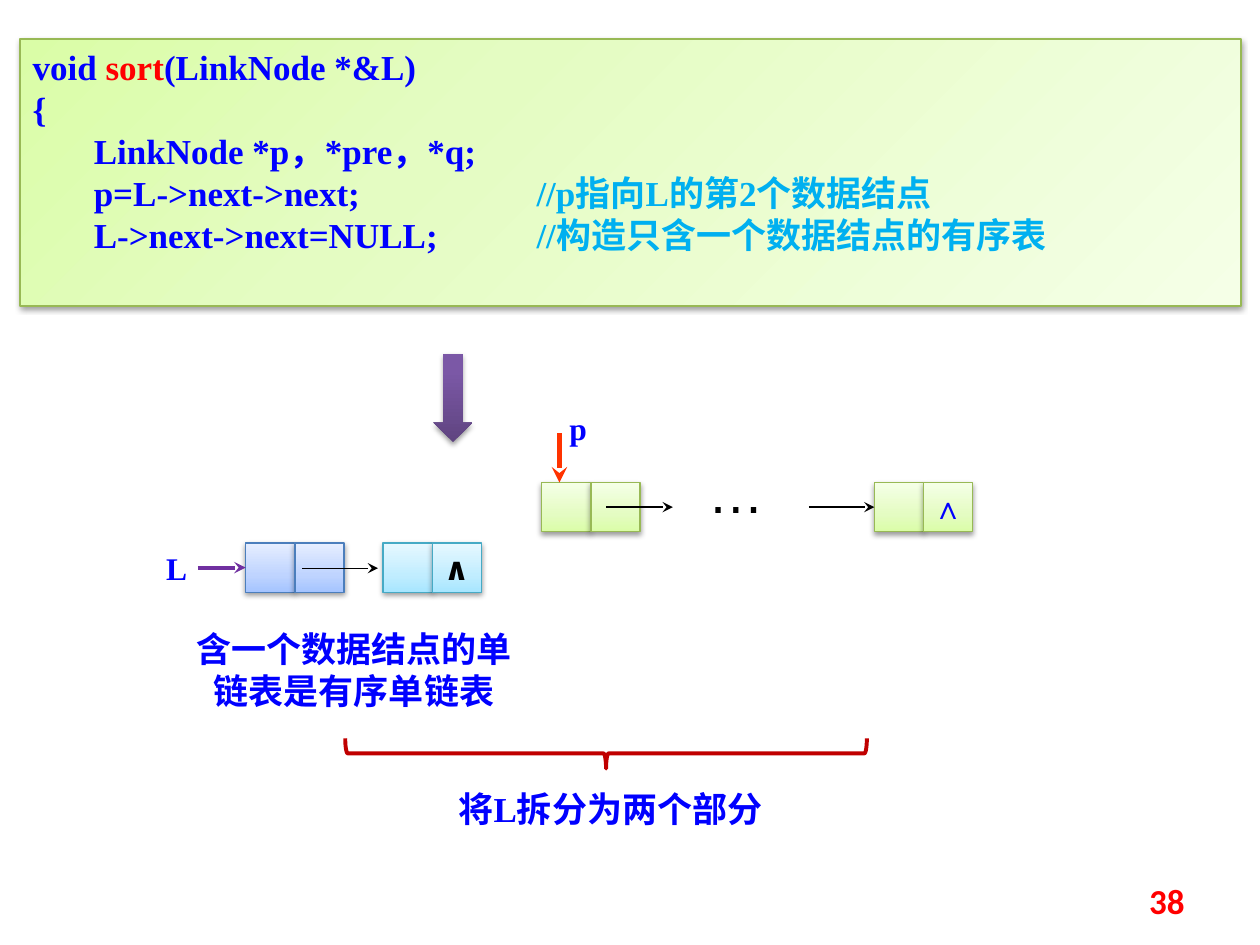
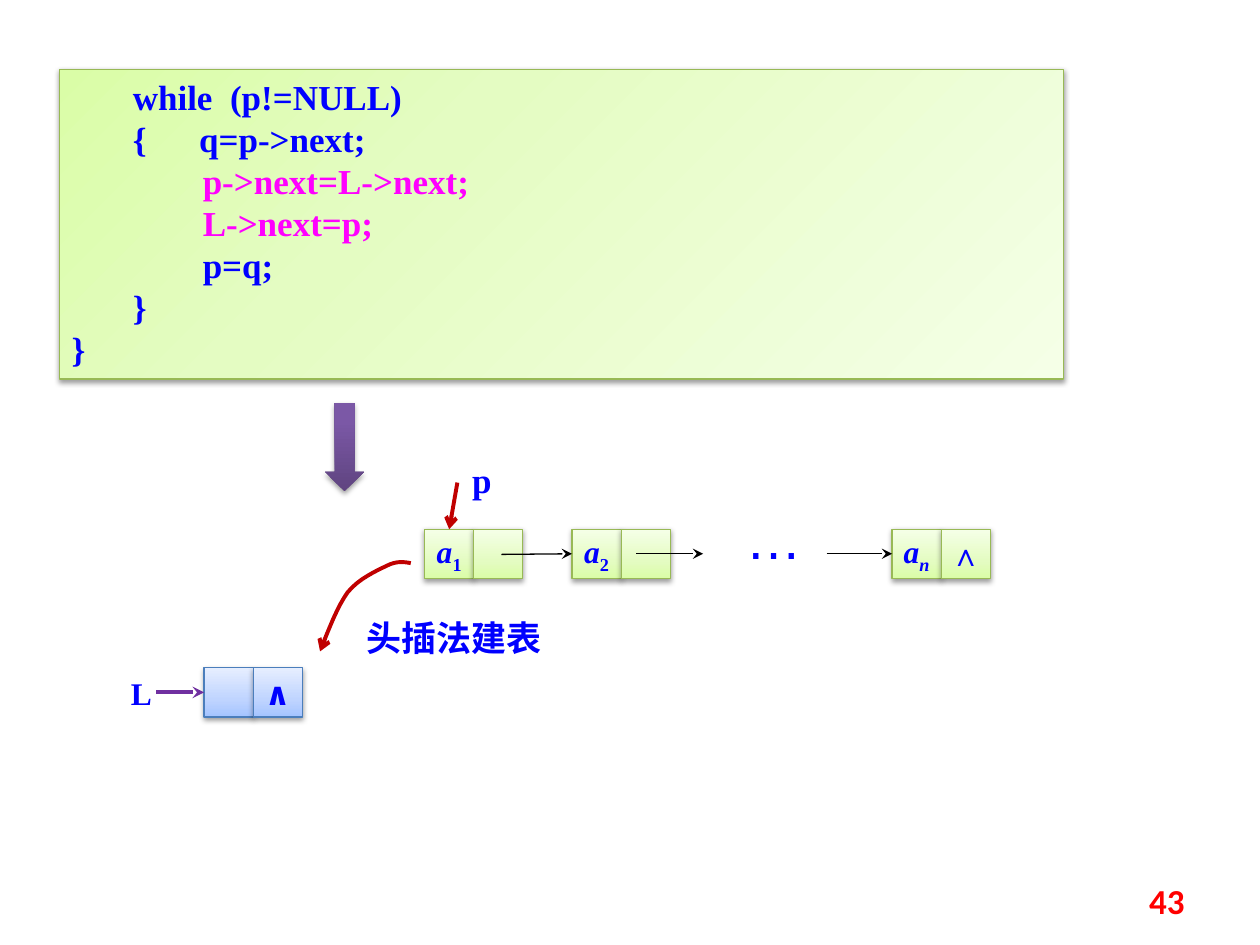
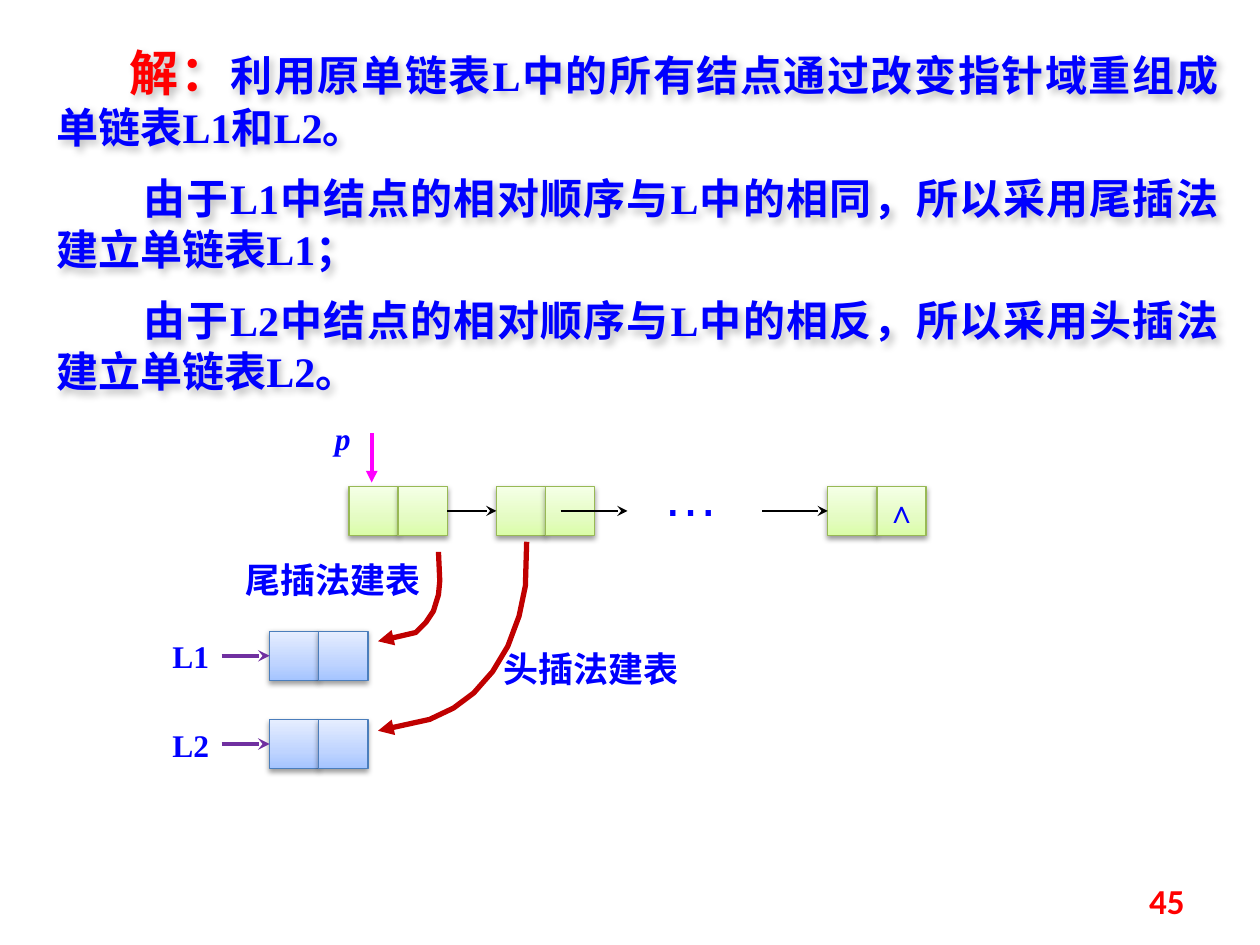
from dataclasses import dataclass, replace

from lxml import etree
from pptx import Presentation
from pptx.dml.color import RGBColor
from pptx.enum.shapes import MSO_CONNECTOR, MSO_SHAPE
from pptx.enum.text import MSO_ANCHOR, PP_ALIGN
from pptx.oxml import parse_xml
from pptx.oxml.ns import nsdecls, qn
from pptx.shapes.autoshape import Shape
from pptx.shapes.connector import Connector
from pptx.slide import Slide
from pptx.text.text import TextFrame
from pptx.util import Inches, Pt

RECTANGLE = MSO_SHAPE.RECTANGLE
DOWN_ARROW = MSO_SHAPE.DOWN_ARROW
RIGHT_BRACE = MSO_SHAPE.RIGHT_BRACE
STRAIGHT = MSO_CONNECTOR.STRAIGHT
TOP, MIDDLE = MSO_ANCHOR.TOP, MSO_ANCHOR.MIDDLE
LEFT, CENTER, RIGHT, JUSTIFY = PP_ALIGN.LEFT, PP_ALIGN.CENTER, PP_ALIGN.RIGHT, PP_ALIGN.JUSTIFY
TOP_SIDE, LEFT_SIDE, RIGHT_SIDE = 0, 1, 3

BLUE = RGBColor(0x00, 0x00, 0xFF)
RED = RGBColor(0xFF, 0x00, 0x00)
SKY = RGBColor(0x00, 0xB0, 0xF0)
MAGENTA = RGBColor(0xFF, 0x00, 0xFF)
PURPLE = RGBColor(0x70, 0x30, 0xA0)
DARK_RED = RGBColor(0xC0, 0x00, 0x00)
ORANGE = RGBColor(0xFF, 0x33, 0x00)
BLACK = RGBColor(0x00, 0x00, 0x00)

SERIF = "Times New Roman"
CHINESE = "Noto Sans CJK SC"
CELL = 0.39
UPWARD = 270
DIAGONAL = 45
CODE_TABS = (3, 4)

Point = tuple[float, float]
Box = tuple[float, float, float, float]


@dataclass(frozen=True)
class Palette:
    stops: tuple[tuple[int, RGBColor], ...]
    line: RGBColor | None = None


@dataclass(frozen=True)
class TextStyle:
    font: str = SERIF
    size: float = 18
    color: RGBColor = BLUE
    bold: bool = True
    italic: bool = False
    align: PP_ALIGN = LEFT
    tabs: tuple[float, ...] = ()


@dataclass(frozen=True)
class Run:
    text: str
    color: RGBColor | None = None
    size: float | None = None
    font: str | None = None
    italic: bool | None = None
    subscript: bool = False


@dataclass(frozen=True)
class ArrowStyle:
    color: RGBColor
    width: float
    head: str = "stealth"


@dataclass(frozen=True)
class Shadow:
    opacity: int = 38
    blur: float = 3.1
    distance: float = 1.6
    angle: int = 90


Line = str | list[Run]


def three_stops(dark: str, middle: str, light: str, line: str) -> Palette:
    colors = [RGBColor.from_string(value) for value in (dark, middle, light)]
    return Palette(tuple(zip((0, 35, 100), colors)), RGBColor.from_string(line))


GREEN_CELL = three_stops("DAFDA7", "E4FCC2", "F5FFE7", "98B955")
BLUE_CELL = three_stops("A4C4FF", "BFD4FF", "E6EEFF", "4B7EBC")
CYAN_CELL = three_stops("A7E6FF", "C1EDFF", "E7F8FF", "46AAC5")
PURPLE_ARROW = Palette((
    (0, RGBColor(0x5F, 0x44, 0x80)),
    (80, RGBColor(0x7B, 0x58, 0xA6)),
    (100, RGBColor(0x7C, 0x57, 0xA8)),
))
SHAPE_SHADOW = Shadow()
PROSE_SHADOW = Shadow(25, 4, 3, 45)

LABEL = TextStyle()
CELL_TEXT = TextStyle(align=CENTER)
CODE = TextStyle(size=20, tabs=CODE_TABS)
CENTERED_LABEL = TextStyle(size=20, align=CENTER)
CAPTION = TextStyle(CHINESE, 20)
CENTERED_CAPTION = replace(CAPTION, align=CENTER)
PROSE = TextStyle(size=24, align=JUSTIFY)
ELLIPSIS = TextStyle("Arial", 32, bold=False)
PAGE_NUMBER = TextStyle("Calibri", 20, RED, align=RIGHT)

LINK = ArrowStyle(BLACK, 0.75)
HEAD_POINTER = ArrowStyle(PURPLE, 2.25)
INSERT_ARROW = ArrowStyle(DARK_RED, 3, "triangle")
OPEN_ARROW = ArrowStyle(DARK_RED, 2.25, "arrow")


def write_text(frame: TextFrame, lines: list[Line], style: TextStyle) -> None:
    for index, line in enumerate(lines):
        paragraph = frame.paragraphs[0] if index == 0 else frame.add_paragraph()
        paragraph.alignment = style.align
        if style.tabs:
            tab_list = etree.SubElement(paragraph._p.get_or_add_pPr(), qn("a:tabLst"))
            for position in style.tabs:
                etree.SubElement(tab_list, qn("a:tab"), pos=str(Inches(position)), algn="l")
        font = paragraph.font
        font.name, font.size = style.font, Pt(style.size)
        font.bold, font.italic = style.bold, style.italic
        font.color.rgb = style.color
        for part in [Run(line)] if isinstance(line, str) else line:
            run = paragraph.add_run()
            run.text = part.text
            if part.color is not None:
                run.font.color.rgb = part.color
            if part.size is not None:
                run.font.size = Pt(part.size)
            if part.font is not None:
                run.font.name = part.font
            if part.italic is not None:
                run.font.italic = part.italic
            if part.subscript:
                run.font._element.set("baseline", "-25000")


def draw_text(slide: Slide, box: Box, lines: list[Line], style: TextStyle) -> Shape:
    shape = slide.shapes.add_textbox(*map(Inches, box))
    shape.text_frame.word_wrap = True
    write_text(shape.text_frame, lines, style)
    return shape


def add_shadow(shape: Shape, shadow: Shadow) -> None:
    shape.shadow.inherit = False
    effects = shape.element.spPr.find(qn("a:effectLst"))
    effects.append(parse_xml(
        f'<a:outerShdw {nsdecls("a")} blurRad="{Pt(shadow.blur)}" '
        f'dist="{Pt(shadow.distance)}" dir="{shadow.angle * 60000}" rotWithShape="0">'
        f'<a:srgbClr val="{BLACK}"><a:alpha val="{shadow.opacity * 1000}"/></a:srgbClr>'
        f'</a:outerShdw>'
    ))


def draw_gradient_shape(slide: Slide, kind: MSO_SHAPE, box: Box, palette: Palette,
                        angle: int = UPWARD) -> Shape:
    shape = slide.shapes.add_shape(kind, *map(Inches, box))
    shape.fill.background()
    properties = shape.element.spPr
    stops = "".join(
        f'<a:gs pos="{position * 1000}"><a:srgbClr val="{color}"/></a:gs>'
        for position, color in palette.stops
    )
    properties.replace(properties.find(qn("a:noFill")), parse_xml(
        f'<a:gradFill {nsdecls("a")} rotWithShape="1"><a:gsLst>{stops}</a:gsLst>'
        f'<a:lin ang="{angle * 60000}" scaled="0"/></a:gradFill>'
    ))
    if palette.line is None:
        shape.line.fill.background()
    else:
        shape.line.color.rgb = palette.line
        shape.line.width = Pt(0.75)
    add_shadow(shape, SHAPE_SHADOW)
    return shape


def draw_code(slide: Slide, box: Box, lines: list[Line]) -> None:
    shape = draw_gradient_shape(slide, RECTANGLE, box, GREEN_CELL, DIAGONAL)
    shape.text_frame.vertical_anchor = TOP
    write_text(shape.text_frame, lines, CODE)


def draw_node(slide: Slide, left: float, top: float, palette: Palette, data: Line = "",
              link: Line = "", style: TextStyle = CELL_TEXT) -> tuple[Shape, Shape]:
    """Draw a list node: a data cell and a link cell side by side."""
    cells = []
    for column, content in enumerate((data, link)):
        box = (left + column * CELL, top, CELL, CELL)
        cell = draw_gradient_shape(slide, RECTANGLE, box, palette)
        if content:
            cell.text_frame.word_wrap = False
            cell.text_frame.vertical_anchor = MIDDLE
            write_text(cell.text_frame, [content], style)
        cells.append(cell)
    return cells[0], cells[1]


def style_arrow(shape: Shape | Connector, style: ArrowStyle) -> None:
    shape.line.color.rgb = style.color
    shape.line.width = Pt(style.width)
    properties = shape.element.spPr
    etree.SubElement(properties.find(qn("a:ln")), qn("a:tailEnd"), type=style.head)
    if properties.find(qn("a:effectLst")) is None:
        etree.SubElement(properties, qn("a:effectLst"))


def draw_arrow(slide: Slide, start: Point, end: Point, style: ArrowStyle,
               target: Shape | None = None, side: int = LEFT_SIDE) -> Connector:
    connector = slide.shapes.add_connector(STRAIGHT, *map(Inches, start + end))
    if target is not None:
        connector.end_connect(target, side)
    style_arrow(connector, style)
    return connector


def draw_bent_arrow(slide: Slide, points: list[Point], style: ArrowStyle) -> None:
    corners = [(Inches(x), Inches(y)) for x, y in points]
    builder = slide.shapes.build_freeform(*corners[0])
    builder.add_line_segments(corners[1:], close=False)
    shape = builder.convert_to_shape()
    shape.fill.background()
    shape.shadow.inherit = False
    style_arrow(shape, style)


def sample_bezier(points: list[Point], steps: int = 8) -> list[Point]:
    """Return points along joined cubic curves; neighbours share an end point."""
    sampled = [points[0]]
    for first in range(0, len(points) - 1, 3):
        corners = points[first:first + 4]
        for step in range(1, steps + 1):
            t = step / steps
            weights = ((1 - t) ** 3, 3 * t * (1 - t) ** 2, 3 * t * t * (1 - t), t ** 3)
            sampled.append((
                sum(weight * x for weight, (x, _) in zip(weights, corners)),
                sum(weight * y for weight, (_, y) in zip(weights, corners)),
            ))
    return sampled


def draw_head_pointer(slide: Slide, name: str, label_box: Box, target: Shape) -> None:
    draw_text(slide, label_box, [name], LABEL)
    end = (target.left.inches, target.top.inches + CELL / 2)
    draw_arrow(slide, (end[0] - 0.38, end[1]), end, HEAD_POINTER, target)


def draw_list_tail(slide: Slide, left: float, top: float, final_left: float,
                   dots_left: float, color: RGBColor = BLUE, last: Line = "") -> None:
    """Draw the link out of the last shown node, the dots and the final node."""
    middle = top + CELL / 2
    draw_arrow(slide, (left, middle), (left + 0.53, middle), LINK)
    draw_text(slide, (dots_left, top - 0.25, 0.79, 0.63), ["…"], replace(ELLIPSIS, color=color))
    final_data, _ = draw_node(slide, final_left, top, GREEN_CELL, last, "∧")
    draw_arrow(slide, (final_left - 0.52, middle), (final_left, middle), LINK, final_data)


def draw_down_arrow(slide: Slide, left: float, top: float) -> None:
    draw_gradient_shape(slide, DOWN_ARROW, (left, top, 0.31, 0.7), PURPLE_ARROW)


def draw_page_number(slide: Slide, number: int) -> None:
    box = draw_text(slide, (7.17, 6.95, 2.33, 0.4), [str(number)], PAGE_NUMBER)
    box.text_frame.vertical_anchor = MIDDLE


def subscripted(index: str, italic: bool = False) -> list[Run]:
    return [Run("a", italic=True), Run(index, italic=italic, subscript=True)]


def build_sort_slide(slide: Slide) -> None:
    draw_code(slide, (0.16, 0.31, 9.69, 2.12), [
        [Run("void "), Run("sort", RED), Run("(LinkNode *&L)")],
        "{",
        "       LinkNode *p，*pre，*q;",
        [Run("       p=L->next->next;\t\t"), Run("//p指向L的第2个数据结点", SKY)],
        [Run("       L->next->next=NULL;\t"), Run("//构造只含一个数据结点的有序表", SKY)],
    ])
    head_data, _ = draw_node(slide, 1.95, 4.31, BLUE_CELL)
    draw_head_pointer(slide, "L", (1.22, 4.31, 0.61, 0.4), head_data)
    draw_node(slide, 3.04, 4.31, CYAN_CELL, link="∧",
              style=replace(CELL_TEXT, font="DejaVu Sans", color=BLACK))
    draw_arrow(slide, (2.4, 4.51), (3, 4.51), LINK)

    draw_node(slide, 4.3, 3.83, GREEN_CELL)
    draw_list_tail(slide, 4.81, 3.83, 6.94, 5.52, BLACK)
    draw_text(slide, (4.42, 3.2, 0.39, 0.4), ["p"], LABEL)
    draw_arrow(slide, (4.44, 3.44), (4.44, 3.83), ArrowStyle(ORANGE, 3))

    draw_text(slide, (1.41, 4.93, 2.8, 0.77), ["含一个数据结点的单链表是有序单链表"], CENTERED_CAPTION)
    draw_down_arrow(slide, 3.44, 2.81)
    brace = slide.shapes.add_shape(RIGHT_BRACE, *map(Inches, (4.69, 3.91, 0.24, 4.14)))
    brace.rotation = 90
    brace.fill.background()
    brace.line.color.rgb = DARK_RED
    brace.line.width = Pt(2.25)
    brace.shadow.inherit = False
    draw_text(slide, (3.44, 6.2, 2.81, 0.44),
              [[Run("将"), Run("L拆", font=SERIF), Run("分为两个部分")]], CENTERED_CAPTION)


def build_reverse_slide(slide: Slide) -> None:
    draw_code(slide, (0.47, 0.55, 7.97, 2.46), [
        "       while  (p!=NULL)",
        "       {      q=p->next;",
        [Run("               p->next=L->next;", MAGENTA)],
        [Run("               L->next=p;", MAGENTA)],
        "               p=q;",
        "       }",
        "}",
    ])
    head_data, _ = draw_node(slide, 1.62, 5.3, BLUE_CELL, link="∧",
                             style=replace(CELL_TEXT, font="DejaVu Sans"))
    draw_head_pointer(slide, "L", (0.94, 5.3, 0.29, 0.4), head_data)

    first_data, _ = draw_node(slide, 3.37, 4.2, GREEN_CELL, subscripted("1"))
    second_data, _ = draw_node(slide, 4.54, 4.2, GREEN_CELL, subscripted("2"))
    draw_arrow(slide, (3.98, 4.4), (4.54, 4.4), LINK, second_data)
    draw_list_tail(slide, 5.05, 4.2, 7.08, 5.82, last=subscripted("n", italic=True))

    draw_arrow(slide, (3.63, 3.83), (3.57, 4.2), OPEN_ARROW, first_data, TOP_SIDE)
    draw_text(slide, (3.55, 3.59, 0.55, 0.44), ["p"], CENTERED_LABEL)
    draw_bent_arrow(slide, sample_bezier([
        (3.26, 4.47), (3.21, 4.46), (3.15, 4.45), (3.07, 4.49), (2.99, 4.53),
        (2.85, 4.59), (2.76, 4.7), (2.68, 4.81), (2.61, 4.99), (2.54, 5.17),
    ]), OPEN_ARROW)
    draw_text(slide, (2.81, 4.84, 2.05, 0.43), ["头插法建表"], CAPTION)
    draw_down_arrow(slide, 2.58, 3.2)


def build_split_slide(slide: Slide) -> None:
    prose = draw_text(slide, (0.35, 0.29, 9.42, 3), [
        [Run("解：", RED, 28), Run("利用原单链表L中的所有结点通过改变指针域重组成单链表L1和L2。")],
        "由于L1中结点的相对顺序与L中的相同，所以采用尾插法建立单链表L1；",
        "由于L2中结点的相对顺序与L中的相反，所以采用头插法建立单链表L2。",
    ], PROSE)
    add_shadow(prose, PROSE_SHADOW)
    for index, paragraph in enumerate(prose.text_frame.paragraphs):
        paragraph._p.get_or_add_pPr().set("indent", str(Inches(0.69 if index else 0.58)))
        if index:
            paragraph.space_before = Pt(12)

    for name, top in (("L1", 5.01), ("L2", 5.71)):
        head_data, _ = draw_node(slide, 2.14, top, BLUE_CELL)
        draw_head_pointer(slide, name, (1.27, top, 0.55, 0.4), head_data)

    _, first_link = draw_node(slide, 2.77, 3.86, GREEN_CELL)
    second_data, _ = draw_node(slide, 3.94, 3.86, GREEN_CELL)
    link = draw_arrow(slide, (3.55, 4.05), (3.94, 4.05), LINK, second_data)
    link.begin_connect(first_link, RIGHT_SIDE)
    draw_list_tail(slide, 4.45, 3.86, 6.57, 5.16)
    draw_text(slide, (2.56, 3.28, 0.39, 0.4), ["p"], replace(LABEL, italic=True))
    draw_arrow(slide, (2.95, 3.44), (2.95, 3.83), ArrowStyle(MAGENTA, 2.25, "triangle"))

    draw_bent_arrow(slide, [
        (4.18, 4.3), (4.17, 4.65), (4.12, 4.89), (4.03, 5.13), (3.91, 5.33),
        (3.76, 5.5), (3.6, 5.62), (3.41, 5.71), (3, 5.8),
    ], INSERT_ARROW)
    draw_text(slide, (3.9, 5.09, 2.05, 0.43), ["头插法建表"], CAPTION)
    draw_bent_arrow(slide, [
        (3.48, 4.38), (3.49, 4.61), (3.48, 4.72), (3.44, 4.85), (3.38, 4.94),
        (3.3, 5.02), (3, 5.09),
    ], INSERT_ARROW)
    draw_text(slide, (1.85, 4.38, 2.05, 0.43), ["尾插法建表"], CAPTION)


def main() -> None:
    presentation = Presentation()
    presentation.slide_width, presentation.slide_height = Inches(10), Inches(7.5)
    blank = presentation.slide_layouts[6]
    for build, number in ((build_sort_slide, 38), (build_reverse_slide, 43),
                          (build_split_slide, 45)):
        slide = presentation.slides.add_slide(blank)
        build(slide)
        draw_page_number(slide, number)
    presentation.save("out.pptx")


if __name__ == "__main__":
    main()
